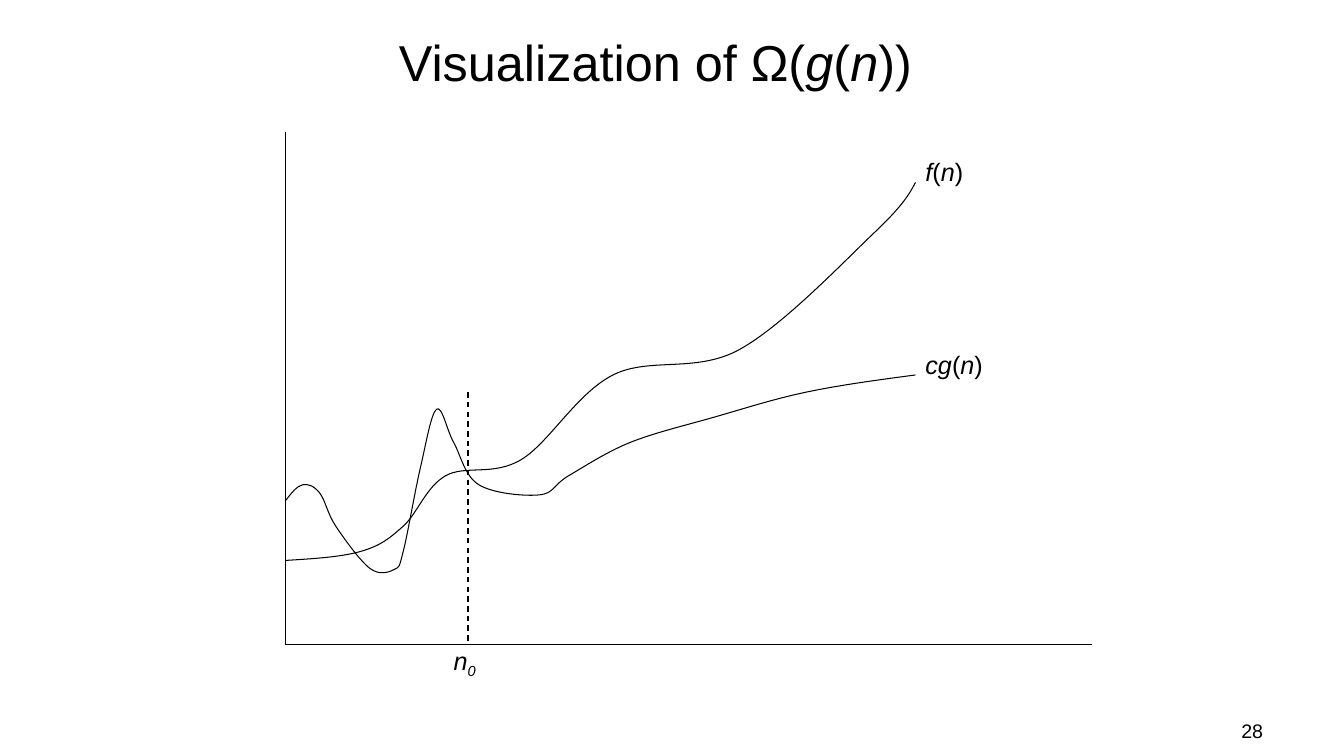
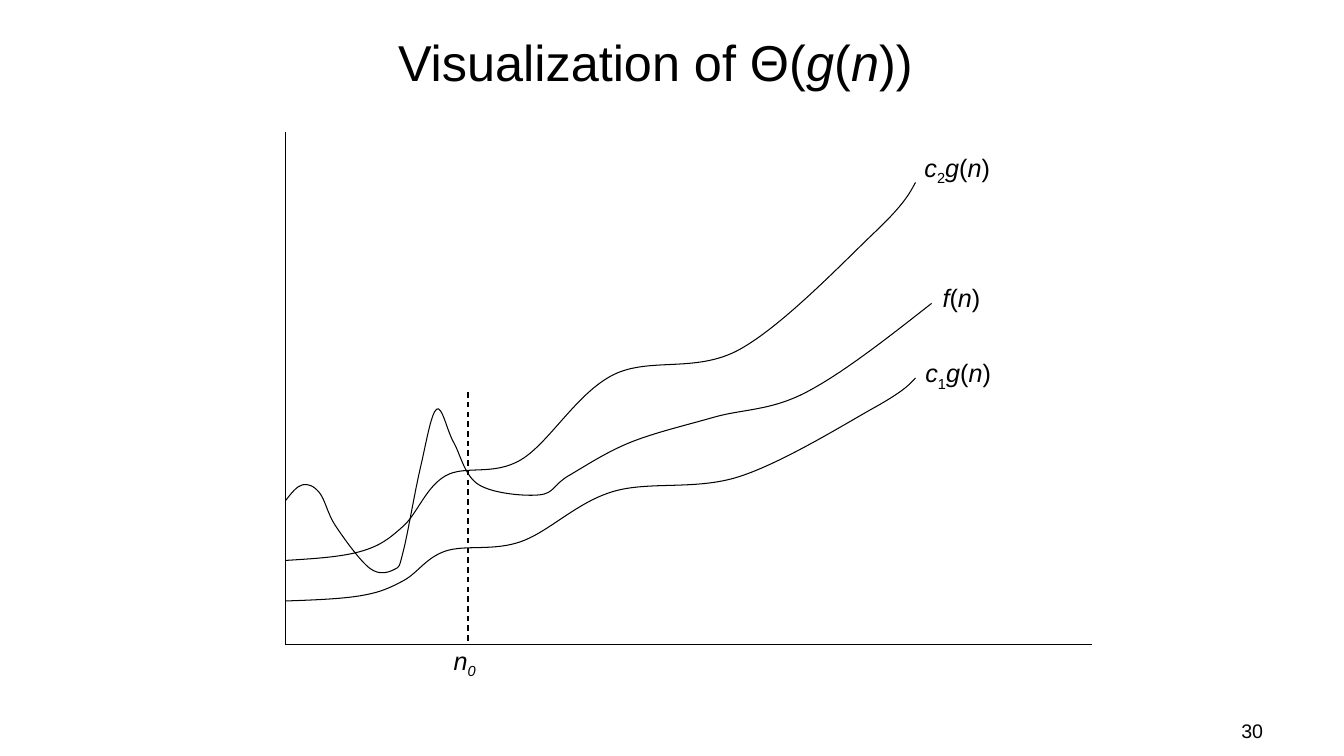
from dataclasses import dataclass

from lxml import etree
from pptx import Presentation
from pptx.dml.color import RGBColor
from pptx.enum import dml, shapes, text
from pptx.oxml import ns
from pptx.util import Inches, Pt

BLACK = RGBColor(0x00, 0x00, 0x00)
FONT = "Arial"
Point = tuple[float, float]


@dataclass(frozen=True)
class Part:
    """A stretch of a formula in one style."""
    words: str
    italic: bool = False
    subscript: bool = False


@dataclass(frozen=True)
class Label:
    left: float
    top: float
    width: float
    formula: tuple[Part, ...]


@dataclass(frozen=True)
class Plot:
    symbol: str
    number: int
    curves: tuple[tuple[Point, ...], ...]
    labels: tuple[Label, ...]


# Formulas
ARGUMENT = (Part("("), Part("n", italic=True), Part(")"))
F_OF_N = (Part("f", italic=True), *ARGUMENT)
G_OF_N = (Part("g", italic=True), *ARGUMENT)
CG_OF_N = (Part("cg", italic=True), *ARGUMENT)
N_ZERO = (Part("n", italic=True), Part("0", italic=True, subscript=True))


def scaled_g(index: str) -> tuple[Part, ...]:
    return (Part("c", italic=True), Part(index, subscript=True), *G_OF_N)


# Points that the curves pass through
STEADY = ((2.83, 5.56), (3.58, 5.47), (4, 5.22), (4.42, 4.72), (5.17, 4.56),
          (6.08, 3.72), (7.33, 3.47), (8.67, 2.31), (9.08, 1.81))
WAVY = ((2.83, 4.97), (3, 4.81), (3.17, 4.89), (3.33, 5.22), (3.67, 5.64),
        (3.91, 5.65), (4, 5.47), (4.17, 4.64), (4.33, 4.06), (4.5, 4.39),
        (4.75, 4.81), (5.35, 4.91), (5.64, 4.72), (6.25, 4.39),
        (7.08, 4.14), (8, 3.89))
WAVY_FLAT = (*WAVY, (9.08, 3.72))
WAVY_STEEP = (*WAVY, (9.24, 3.01))
# The lower bound is the steady curve, flattened and moved down
FLATTEN = 0.59
STEADY_LOW = tuple((x, 3.75 + (y - 1.81) * FLATTEN) for x, y in STEADY)

# Axes and threshold
ORIGIN_X, ORIGIN_Y = 2.83, 6.39
AXIS_TOP, AXIS_RIGHT = 1.31, 10.83
THRESHOLD_X, THRESHOLD_TOP = 4.64, 3.89
THRESHOLD_LABEL = Label(4.4, 6.35, 0.44, N_ZERO)

PLOTS = (
    Plot("Ω", 28, (STEADY, WAVY_FLAT),
         (Label(9.08, 3.42, 0.78, CG_OF_N), Label(9.08, 1.5, 0.58, F_OF_N))),
    Plot("Θ", 30, (STEADY, WAVY_STEEP, STEADY_LOW),
         (Label(9.07, 1.46, 0.87, scaled_g("2")),
          Label(9.25, 2.75, 0.58, F_OF_N),
          Label(9.08, 3.5, 0.87, scaled_g("1")))),
)

# Text frame formats
TITLE_FRAME = {"word_wrap": True, "vertical_anchor": text.MSO_ANCHOR.MIDDLE}
LABEL_FRAME = {"word_wrap": False,
               "auto_size": text.MSO_AUTO_SIZE.SHAPE_TO_FIT_TEXT}
NUMBER_FRAME = {"word_wrap": True}


def add_text(slide, box: tuple[float, float, float, float],
             formula: tuple[Part, ...], size: int, frame_format: dict,
             align=text.PP_ALIGN.LEFT) -> None:
    frame = slide.shapes.add_textbox(*map(Inches, box)).text_frame
    for attribute, value in frame_format.items():
        setattr(frame, attribute, value)
    paragraph = frame.paragraphs[0]
    paragraph.alignment = align
    for part in formula:
        run = paragraph.add_run()
        run.text = part.words
        font_format = {"name": FONT, "size": Pt(size), "italic": part.italic}
        for attribute, value in font_format.items():
            setattr(run.font, attribute, value)
        run.font.color.rgb = BLACK
        if part.subscript:
            run.font._element.set("baseline", "-25000")


def add_label(slide, label: Label) -> None:
    add_text(slide, (label.left, label.top, label.width, 0.4),
             label.formula, 18, LABEL_FRAME)


def add_line(slide, start: Point, end: Point, weight: float = 0.75,
             dashed: bool = False) -> None:
    connector = slide.shapes.add_connector(
        shapes.MSO_CONNECTOR.STRAIGHT, *map(Inches, (*start, *end)))
    connector.line.color.rgb = BLACK
    connector.line.width = Pt(weight)
    if dashed:
        connector.line.dash_style = dml.MSO_LINE.DASH
    etree.SubElement(connector._element.spPr, ns.qn("a:effectLst"))


def midpoint(a: Point, b: Point) -> Point:
    return (a[0] + b[0]) / 2, (a[1] + b[1]) / 2


def bezier_segments(points: tuple[Point, ...]) -> list[tuple[Point, ...]]:
    """Smooth the points: each tangent follows the neighbours' chord."""
    tangents = [((after[0] - before[0]) / 6, (after[1] - before[1]) / 6)
                for before, after in zip(points, points[2:])]
    segments = []
    last = len(points) - 2
    for i, (start, end) in enumerate(zip(points, points[1:])):
        leave = arrive = None
        if i > 0:
            dx, dy = tangents[i - 1]
            leave = (start[0] + dx, start[1] + dy)
        if i < last:
            dx, dy = tangents[i]
            arrive = (end[0] - dx, end[1] - dy)
        segments.append((leave or midpoint(start, arrive),
                         arrive or midpoint(leave, end), end))
    return segments


def add_curve(slide, points: tuple[Point, ...]) -> None:
    vertices = [(Inches(x), Inches(y)) for x, y in points]
    builder = slide.shapes.build_freeform(*vertices[0], scale=1.0)
    builder.add_line_segments(vertices[1:], close=False)
    curve = builder.convert_to_shape()
    curve.shadow.inherit = False
    curve.fill.background()
    curve.line.color.rgb = BLACK
    curve.line.width = Pt(0.75)
    # Turn the straight segments into Bezier ones
    straight = curve._element.xpath(".//a:lnTo")
    for segment, controls in zip(straight, bezier_segments(points)):
        bezier = etree.Element(ns.qn("a:cubicBezTo"))
        for x, y in controls:
            etree.SubElement(bezier, ns.qn("a:pt"),
                             x=str(Inches(x) - curve.left),
                             y=str(Inches(y) - curve.top))
        segment.getparent().replace(segment, bezier)


def add_plot(deck, plot: Plot) -> None:
    slide = deck.slides.add_slide(deck.slide_layouts[6])
    # Title
    title = (Part(f"Visualization of {plot.symbol}("), *G_OF_N, Part(")"))
    add_text(slide, (0.5, 0.11, 12, 0.99), title, 36, TITLE_FRAME,
             text.PP_ALIGN.CENTER)
    # Axes
    origin = (ORIGIN_X, ORIGIN_Y)
    add_line(slide, (ORIGIN_X, AXIS_TOP), origin)
    add_line(slide, origin, (AXIS_RIGHT, ORIGIN_Y))
    # Curves and threshold
    for points in plot.curves:
        add_curve(slide, points)
    add_line(slide, (THRESHOLD_X, THRESHOLD_TOP), (THRESHOLD_X, ORIGIN_Y),
             weight=1, dashed=True)
    # Labels
    for label in (THRESHOLD_LABEL, *plot.labels):
        add_label(slide, label)
    # Slide number
    add_text(slide, (11.51, 7.08, 1.82, 0.32), (Part(str(plot.number)),), 14,
             NUMBER_FRAME, text.PP_ALIGN.CENTER)


def main() -> None:
    deck = Presentation()
    deck.slide_width, deck.slide_height = Inches(13.33), Inches(7.5)
    for plot in PLOTS:
        add_plot(deck, plot)
    deck.save("out.pptx")


if __name__ == "__main__":
    main()
